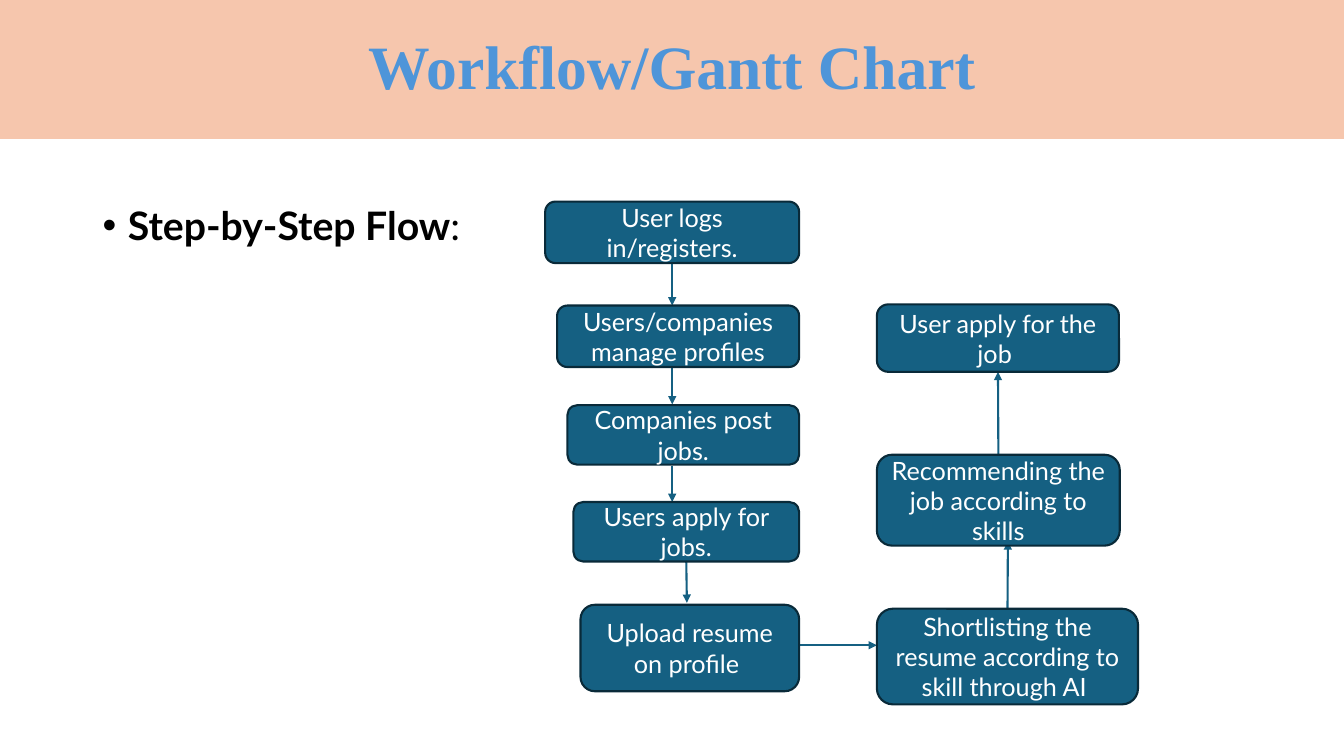
from lxml import etree
from pptx import Presentation
from pptx.dml.color import RGBColor
from pptx.enum.shapes import MSO_CONNECTOR as CONN, MSO_SHAPE as SHAPE
from pptx.enum.text import MSO_ANCHOR as ANCHOR, MSO_AUTO_SIZE as FIT, PP_ALIGN as ALIGN
from pptx.oxml.ns import qn
from pptx.util import Cm, Pt

SLIDE_W, SLIDE_H = 33.87, 19.05
BLUE, DARK_BLUE = "156082", "092A39"
TOP, LEFT, BOTTOM, RIGHT = range(4)


def paint(color_format, hex_color):
    color_format.rgb = RGBColor.from_string(hex_color)


def add_run(p, text, size=18, font="Lato", color="FFFFFF", bold=False):
    r = p.add_run()
    r.text = text
    r.font.size, r.font.name, r.font.bold = Pt(size), font, bold
    paint(r.font.color, color)


def place(sp, left, top, width, height):
    sp.left, sp.top, sp.width, sp.height = Cm(left), Cm(top), Cm(width), Cm(height)


def add_title(slide, left, top, width, height):
    sp = slide.shapes.title
    place(sp, left, top, width, height)
    sp.fill.solid()
    paint(sp.fill.fore_color, "F6C6AD")
    tf = sp.text_frame
    tf.auto_size, tf.vertical_anchor = FIT.NONE, ANCHOR.MIDDLE
    p = tf.paragraphs[0]
    p.alignment, p.line_spacing = ALIGN.CENTER, 0.9
    add_run(p, "Workflow/Gantt Chart", size=44, font="Times New Roman", color="4E95D9", bold=True)


def add_body(slide, left, top, width, height):
    sp = slide.placeholders[1]
    place(sp, left, top, width, height)
    tf = sp.text_frame
    tf.auto_size = FIT.NONE
    p = tf.paragraphs[0]
    p.line_spacing, p.space_before = 0.9, Pt(10)
    pPr = p._p.get_or_add_pPr()
    pPr.set("marL", str(Cm(0.64)))
    pPr.set("indent", str(-Cm(0.64)))
    etree.SubElement(pPr, qn("a:buFont")).set("typeface", "Arial")
    etree.SubElement(pPr, qn("a:buChar")).set("char", "•")
    add_run(p, "Step-by-Step Flow", size=28, color="000000", bold=True)
    add_run(p, ":", size=28, color="000000")


def add_step(slide, text, left, top, width, height):
    sp = slide.shapes.add_shape(SHAPE.ROUNDED_RECTANGLE, Cm(left), Cm(top), Cm(width), Cm(height))
    sp.shadow.inherit = False
    sp.fill.solid()
    paint(sp.fill.fore_color, BLUE)
    paint(sp.line.color, DARK_BLUE)
    sp.line.width = Pt(1.5)
    tf = sp.text_frame
    tf.word_wrap, tf.vertical_anchor = True, ANCHOR.MIDDLE
    p = tf.paragraphs[0]
    p.alignment = ALIGN.CENTER
    add_run(p, text)
    return sp


def add_arrow(slide, x1, y1, x2, y2, begin=None, end=None):
    """Draw an arrow; begin and end are optional (step, side) joints."""
    line = slide.shapes.add_connector(CONN.STRAIGHT, Cm(x1), Cm(y1), Cm(x2), Cm(y2))
    if begin:
        line.begin_connect(*begin)
    if end:
        line.end_connect(*end)
    paint(line.line.color, BLUE)
    line.line.width = Pt(1.5)
    etree.SubElement(line.line._get_or_add_ln(), qn("a:tailEnd")).set("type", "triangle")
    etree.SubElement(line._element.spPr, qn("a:effectLst"))
    return line


def add_flow(slide, left, top, width):
    """Left column is flush with its right edge, right column with its left edge."""
    left_edge, right_edge = left + 6.4, left + width - 6.58
    left_steps = [
        ("User logs in/registers.", 0, 6.4, 1.55),
        ("Users/companies manage profiles", 2.62, 6.1, 1.55),
        ("Companies post jobs.", 5.13, 5.84, 1.5),
        ("Users apply for jobs.", 7.57, 5.69, 1.5),
        ("Upload resume on profile ", 10.16, 5.51, 2.18),
    ]
    right_steps = [
        ("Shortlisting the resume according to skill through AI ", 10.26, 6.58, 2.41),
        ("Recommending the job according to skills", 6.38, 6.12, 2.29),
        ("User apply for the job ", 2.59, 6.1, 1.7),
    ]
    steps = [add_step(slide, text, left_edge - w, top + y, w, h) for text, y, w, h in left_steps]
    steps += [add_step(slide, text, right_edge, top + y, w, h) for text, y, w, h in right_steps]
    login, _, _, apply, _, shortlist, recommend, final = steps

    x = left + 3.2
    arrows = [
        add_arrow(slide, x, top + 1.55, x, top + 2.62, begin=(login, BOTTOM)),
        add_arrow(slide, x, top + 4.17, x, top + 5.11),
        add_arrow(slide, x, top + 6.65, x, top + 7.57),
        add_arrow(slide, x + 0.35, top + 9.07, x + 0.37, top + 10.11, begin=(apply, BOTTOM)),
        add_arrow(slide, left_edge, top + 11.18, right_edge, top + 11.18),
        add_arrow(slide, right_edge + 3.29, top + 10.26, right_edge + 3.3, top + 8.56,
                  begin=(shortlist, TOP)),
        add_arrow(slide, right_edge + 3.05, top + 6.38, right_edge + 3.05, top + 4.29,
                  begin=(recommend, TOP), end=(final, BOTTOM)),
    ]
    for line in arrows:  # arrows lie behind the steps
        login._element.addprevious(line._element)


def main():
    prs = Presentation()
    prs.slide_width, prs.slide_height = Cm(SLIDE_W), Cm(SLIDE_H)
    slide = prs.slides.add_slide(prs.slide_layouts[1])
    add_title(slide, 0, 0, SLIDE_W, 3.5)
    add_body(slide, 2.33, 5.08, 29.21, 12.1)
    add_flow(slide, 13.74, 5.08, 14.94)
    prs.save("out.pptx")


if __name__ == "__main__":
    main()
